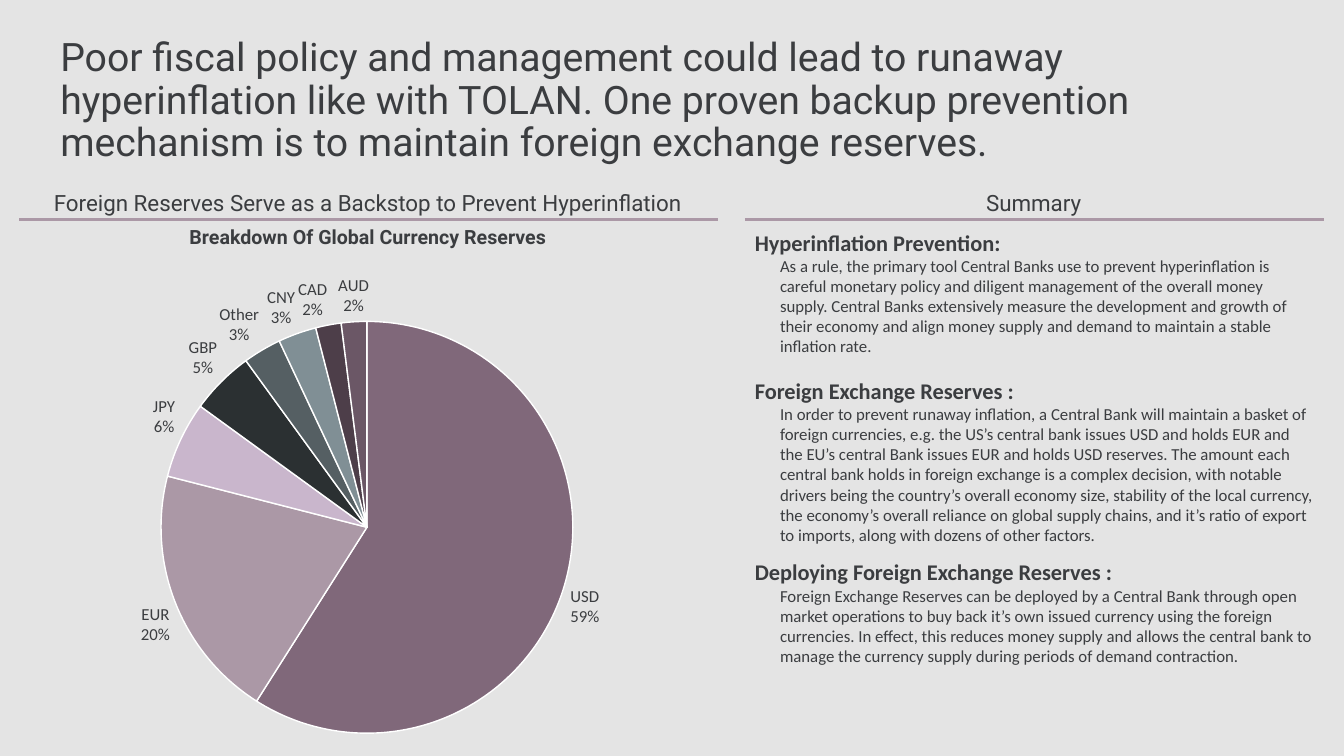
from lxml import etree
from pptx import Presentation
from pptx.chart.data import CategoryChartData
from pptx.dml.color import RGBColor
from pptx.enum.chart import XL_CHART_TYPE, XL_LABEL_POSITION
from pptx.enum.shapes import MSO_CONNECTOR
from pptx.enum.text import MSO_ANCHOR, PP_ALIGN
from pptx.oxml import parse_xml
from pptx.oxml.ns import nsdecls, qn
from pptx.util import Pt

PIE = XL_CHART_TYPE.PIE
OUTSIDE_END = XL_LABEL_POSITION.OUTSIDE_END
STRAIGHT = MSO_CONNECTOR.STRAIGHT
TOP, MIDDLE = MSO_ANCHOR.TOP, MSO_ANCHOR.MIDDLE
LEFT, CENTER = PP_ALIGN.LEFT, PP_ALIGN.CENTER

TITLE = (
    "Poor fiscal policy and management could lead to runaway hyperinflation like with TOLAN. "
    "One proven backup prevention mechanism is to maintain foreign exchange reserves."
)
COLUMNS = [
    {"heading": "Foreign Reserves Serve as a Backstop to Prevent Hyperinflation",
     "box": (8.6, 508.3), "rule": (13.7, 512.6)},
    {"heading": "Summary", "box": (562.3, 352.1), "rule": (532.1, 945.4)},
]
CHART_TITLE = "Breakdown Of Global Currency Reserves"
RESERVES = [
    ("USD", 59, "80687A"),
    ("EUR", 20, "AB98A6"),
    ("JPY", 6, "C9B6CC"),
    ("GBP", 5, "2B3032"),
    ("Other", 3, "555F63"),
    ("CNY", 3, "808F95"),
    ("CAD", 2, "4D3E49"),
    ("AUD", 2, "6B5766"),
]
SUMMARY = [
    (0, "Hyperinflation Prevention:",
     "As a rule, the primary tool Central Banks use to prevent hyperinflation is careful monetary "
     "policy and diligent management of the overall money supply. Central Banks extensively measure "
     "the development and growth of their economy and align money supply and demand to maintain a "
     "stable inflation rate."),
    (14.6, "Foreign Exchange Reserves :",
     "In order to prevent runaway inflation, a Central Bank will maintain a basket of foreign "
     "currencies, e.g. the US’s central bank issues USD and holds EUR and the EU’s central Bank "
     "issues EUR and holds USD reserves. The amount each central bank holds in foreign exchange is a "
     "complex decision, with notable drivers being the country’s overall economy size, stability of "
     "the local currency, the economy’s overall reliance on global supply chains, and it’s ratio of "
     "export to imports, along with dozens of other factors."),
    (9.8, "Deploying Foreign Exchange Reserves :",
     "Foreign Exchange Reserves can be deployed by a Central Bank through open market operations to "
     "buy back it’s own issued currency using the foreign currencies. In effect, this reduces money "
     "supply and allows the central bank to manage the currency supply during periods of demand "
     "contraction."),
]
THEME = {
    "background": "E4E4E4", "text": "3B3D40", "rule": "AB98A6", "slice_edge": "FFFFFF",
    "display": "Roboto", "body": "Calibri",
    "title": 28, "heading": 16, "chart_title": 14, "copy": 12,
}
HEADING_TOP, HEADING_HEIGHT, RULE_Y = 136.8, 19.4, 157
CHART_FRAME = (65.5, 187.2, 394.6, 347)
PIE_LEFT, PIE_TOP, PIE_DIAMETER = 115, 229.6, 294.2


def color(name):
    return RGBColor.from_string(THEME.get(name, name))


def style_font(font, face, size, bold=False):
    font.name = THEME[face]
    font.size = Pt(THEME[size])
    font.bold = bold
    font.color.rgb = color("text")


def add_box(page, frame, anchor=TOP, inset=None):
    text = page.shapes.add_textbox(*map(Pt, frame)).text_frame
    text.word_wrap = True
    text.vertical_anchor = anchor
    if inset is not None:
        text.margin_left = text.margin_right = Pt(inset)
        text.margin_top = text.margin_bottom = Pt(inset)
    return text


def add_line_of_text(page, frame, words, size, spacing, align=LEFT, inset=None, bold=False):
    para = add_box(page, frame, MIDDLE, inset).paragraphs[0]
    para.text = words
    para.alignment = align
    para.line_spacing = spacing
    style_font(para.font, "display", size, bold)


def add_rule(page, left, right):
    rule = page.shapes.add_connector(STRAIGHT, Pt(left), Pt(RULE_Y), Pt(right), Pt(RULE_Y))
    rule.line.color.rgb = color("rule")
    rule.line.width = Pt(2.25)
    etree.SubElement(rule.element.spPr, qn("a:effectLst"))


def add_summary(page):
    text = add_box(page, (532.1, 159.8, 413.3, 337))
    for index, (gap, heading, copy) in enumerate(SUMMARY):
        para = text.add_paragraph() if index else text.paragraphs[0]
        para.text = heading
        para.space_before = Pt(gap)
        style_font(para.font, "body", "heading", True)
        para = text.add_paragraph()
        para.text = copy
        properties = para._p.get_or_add_pPr()
        properties.set("marL", str(Pt(18)))
        properties.set("indent", "0")
        style_font(para.font, "body", "copy")


def place_pie(chart):
    left, top, width, height = CHART_FRAME
    fractions = {
        "x": (PIE_LEFT - left) / width, "y": (PIE_TOP - top) / height,
        "w": PIE_DIAMETER / width, "h": PIE_DIAMETER / height,
    }
    sizes = "".join(f'<c:{key} val="{value:.4f}"/>' for key, value in fractions.items())
    layout = parse_xml(
        f'<c:layout {nsdecls("c")}><c:manualLayout><c:layoutTarget val="inner"/>'
        f'<c:xMode val="edge"/><c:yMode val="edge"/>{sizes}</c:manualLayout></c:layout>'
    )
    plot_area = chart.element.find(".//" + qn("c:plotArea"))
    for old in plot_area.findall(qn("c:layout")):
        plot_area.remove(old)
    plot_area.insert(0, layout)


def add_reserves_chart(page):
    data = CategoryChartData(number_format="0")
    data.categories = [name for name, _, _ in RESERVES]
    data.add_series("Series 1", [share for _, share, _ in RESERVES])
    chart = page.shapes.add_chart(PIE, *map(Pt, CHART_FRAME), data).chart
    chart.has_title = False
    chart.has_legend = False
    style_font(chart.font, "body", "copy")
    place_pie(chart)

    plot = chart.plots[0]
    plot.vary_by_categories = True
    for index, (_, _, fill) in enumerate(RESERVES):
        style = plot.series[0].points[index].format
        style.fill.solid()
        style.fill.fore_color.rgb = color(fill)
        style.line.color.rgb = color("slice_edge")
        style.line.width = Pt(1)

    plot.has_data_labels = True
    labels = plot.data_labels
    labels.show_category_name = True
    labels.show_percentage = True
    labels.show_value = False
    labels.number_format = "0%"
    labels.number_format_is_linked = False
    labels.position = OUTSIDE_END
    style_font(labels.font, "body", "copy")


def main():
    deck = Presentation()
    deck.slide_width, deck.slide_height = Pt(960), Pt(540)
    page = deck.slides.add_slide(deck.slide_layouts[6])
    page.background.fill.solid()
    page.background.fill.fore_color.rgb = color("background")

    add_line_of_text(page, (36, 20.2, 875.5, 104.4), TITLE, "title", 0.9)
    add_summary(page)
    add_reserves_chart(page)
    for column in COLUMNS:
        left, width = column["box"]
        add_line_of_text(page, (left, HEADING_TOP, width, HEADING_HEIGHT), column["heading"],
                         "heading", 0.8, CENTER, 2.2)
        add_rule(page, *column["rule"])
    add_line_of_text(page, (50.4, 162, 424.8, 17.3), CHART_TITLE,
                     "chart_title", 0.8, CENTER, 2.2, True)
    deck.save("out.pptx")


if __name__ == "__main__":
    main()
